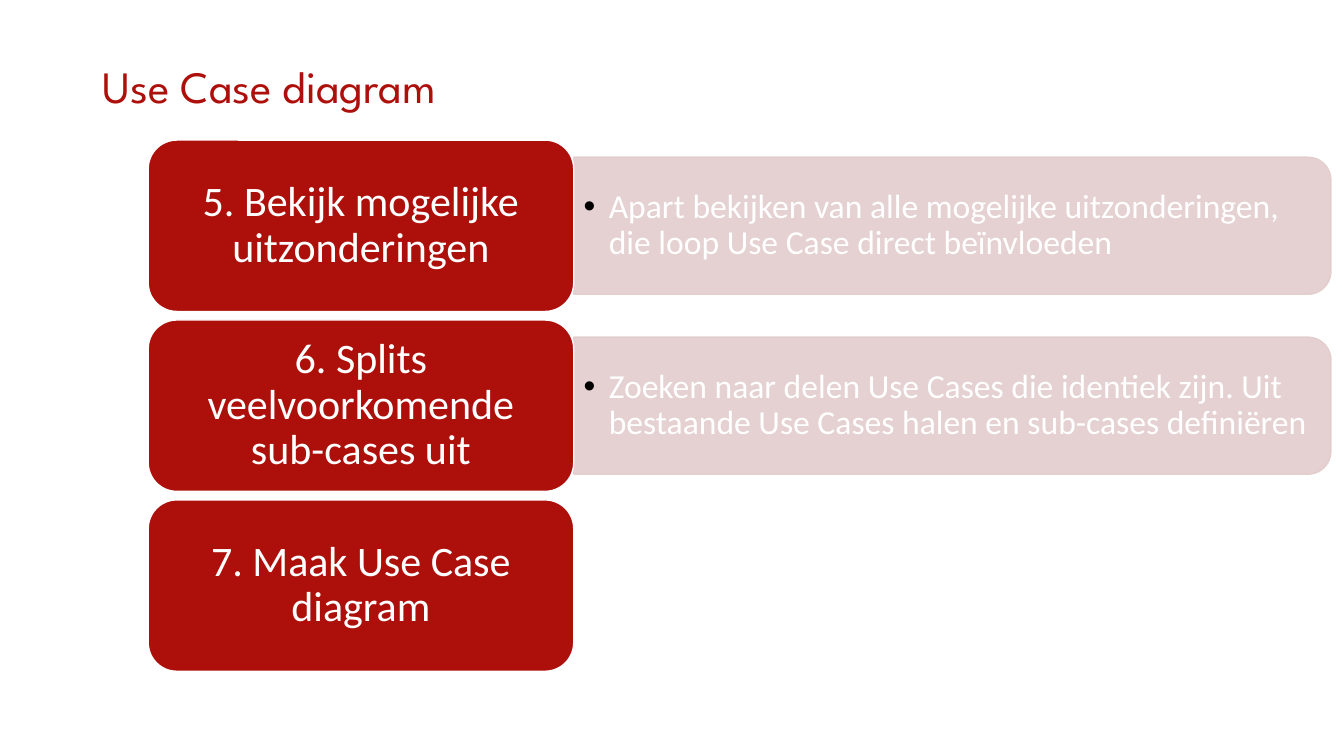
from lxml.etree import SubElement
from pptx import Presentation
from pptx.dml.color import RGBColor
from pptx.enum.shapes import MSO_SHAPE
from pptx.enum.text import MSO_ANCHOR, MSO_AUTO_SIZE, PP_ALIGN
from pptx.oxml.ns import qn
from pptx.util import Inches, Pt

RED = RGBColor(0xAD, 0x0F, 0x0A)
PINK = RGBColor(0xE3, 0xCC, 0xCC)
WHITE = RGBColor(0xFF, 0xFF, 0xFF)

STEP_LEFT, STEP_TOP = 1.47, 1.39
STEP_WIDTH, STEP_HEIGHT = 4.22, 1.7
ROW_PITCH = STEP_HEIGHT * 1.05
PANEL_LEFT = STEP_LEFT + STEP_WIDTH
PANEL_WIDTH, PANEL_HEIGHT = 7.51, STEP_HEIGHT * 0.8
DETAIL_WIDTH, DETAIL_HEIGHT = 7.44, 1.23

STEPS = [
    ("5. Bekijk mogelijke uitzonderingen",
     "Apart bekijken van alle mogelijke uitzonderingen, die loop Use Case direct beïnvloeden"),
    ("6. Splits veelvoorkomende sub-cases uit",
     "Zoeken naar delen Use Cases die identiek zijn. Uit bestaande Use Cases halen en sub-cases definiëren"),
    ("7. Maak Use Case diagram", None),
]


def write(tf, text, size, font, color, align, anchor):
    tf.word_wrap = True
    tf.auto_size = MSO_AUTO_SIZE.NONE
    tf.vertical_anchor = anchor
    p = tf.paragraphs[0]
    p.alignment = align
    p.line_spacing = 0.9
    r = p.add_run()
    r.text = text
    r.font.size = Pt(size)
    r.font.name = font
    r.font.color.rgb = color
    return p


def add_block(s, preset, left, top, width, height, fill, line):
    sp = s.shapes.add_shape(preset, Inches(left), Inches(top), Inches(width), Inches(height))
    sp.shadow.inherit = False
    sp.fill.solid()
    sp.fill.fore_color.rgb = fill
    sp.line.color.rgb = line
    sp.line.width = Pt(1)
    return sp


def add_bullet(p):
    pPr = p._p.get_or_add_pPr()
    pPr.set("marL", str(Inches(0.25)))
    pPr.set("indent", str(Inches(-0.25)))
    SubElement(SubElement(pPr, qn("a:buClr")), qn("a:srgbClr"), val="000000")
    SubElement(pPr, qn("a:buFont"), typeface="Arial")
    SubElement(pPr, qn("a:buChar"), char="•")


def add_panel(s, middle):
    """Draw the panel upright, then turn it so its round corners face right."""
    sp = add_block(s, MSO_SHAPE.ROUND_2_SAME_RECTANGLE,
                   PANEL_LEFT + (PANEL_WIDTH - PANEL_HEIGHT) / 2, middle - PANEL_WIDTH / 2,
                   PANEL_HEIGHT, PANEL_WIDTH, PINK, PINK)
    sp.rotation = 90
    for color in sp._element.spPr.iter(qn("a:srgbClr")):
        SubElement(color, qn("a:alpha"), val="90000")


def add_detail(s, middle, text):
    box = s.shapes.add_textbox(Inches(PANEL_LEFT), Inches(middle - DETAIL_HEIGHT / 2),
                               Inches(DETAIL_WIDTH), Inches(DETAIL_HEIGHT))
    p = write(box.text_frame, text, 24, "Calibri", WHITE, PP_ALIGN.LEFT, MSO_ANCHOR.MIDDLE)
    p.level = 1
    add_bullet(p)


def add_step(s, top, text):
    sp = add_block(s, MSO_SHAPE.ROUNDED_RECTANGLE, STEP_LEFT, top,
                   STEP_WIDTH, STEP_HEIGHT, RED, WHITE)
    tf = sp.text_frame
    tf.margin_left = tf.margin_right = Inches(0.12)
    tf.margin_top = tf.margin_bottom = Inches(0.06)
    write(tf, text, 30, "Calibri", WHITE, PP_ALIGN.CENTER, MSO_ANCHOR.MIDDLE)


def add_title(s, text):
    title = s.shapes.title
    title.left, title.top = Inches(0.92), Inches(0.59)
    title.width, title.height = Inches(4.3), Inches(1.12)
    write(title.text_frame, text, 32, "League Spartan", RED, PP_ALIGN.LEFT, MSO_ANCHOR.TOP)


def main():
    prs = Presentation()
    prs.slide_width, prs.slide_height = Inches(13.33), Inches(7.5)
    s = prs.slides.add_slide(prs.slide_layouts[5])
    add_title(s, "Use Case diagram")
    for row, (step, detail) in enumerate(STEPS):
        top = STEP_TOP + row * ROW_PITCH
        if detail:
            middle = top + STEP_HEIGHT / 2
            add_panel(s, middle)
            add_detail(s, middle, detail)
        add_step(s, top, step)
    prs.save("out.pptx")


if __name__ == "__main__":
    main()
